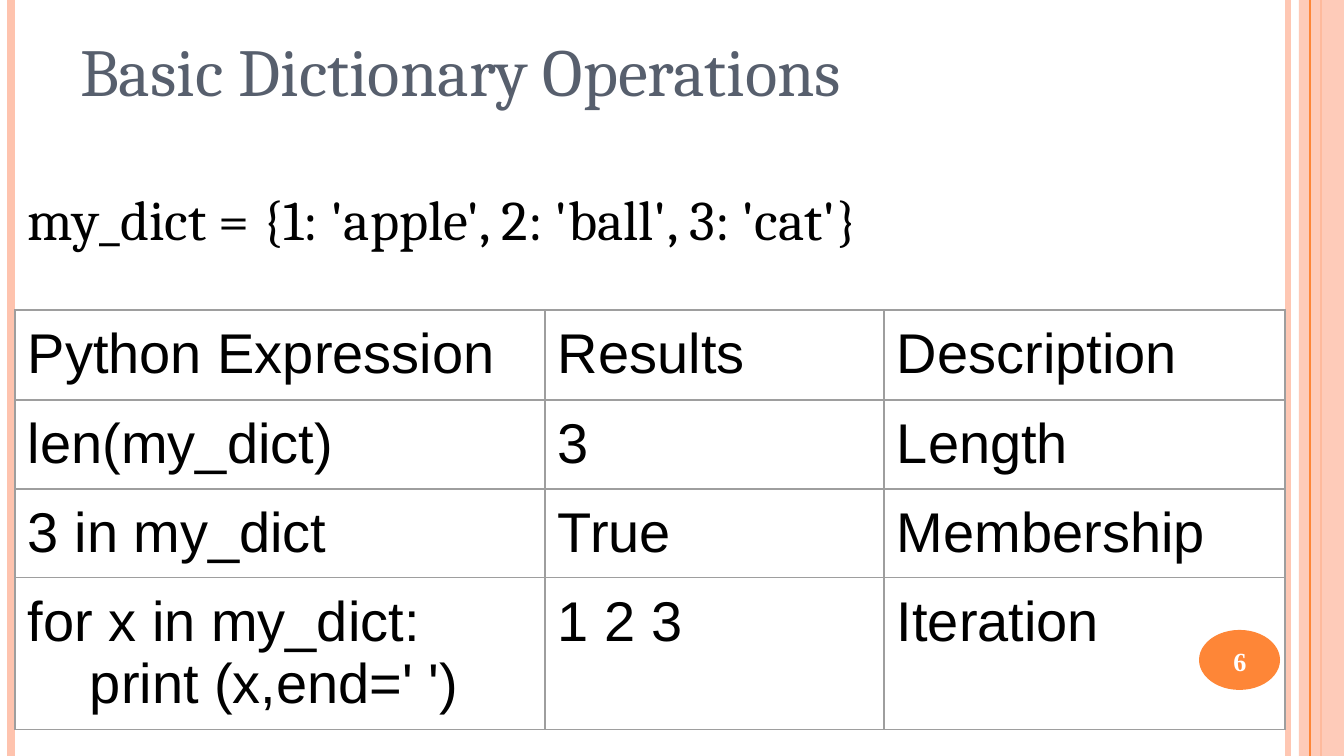
from dataclasses import dataclass

from lxml import etree
from pptx import Presentation
from pptx.dml.color import RGBColor
from pptx.enum.shapes import MSO_CONNECTOR, MSO_SHAPE
from pptx.enum.text import MSO_ANCHOR, MSO_AUTO_SIZE, PP_ALIGN
from pptx.oxml.ns import qn
from pptx.shapes.autoshape import Shape
from pptx.shapes.base import BaseShape
from pptx.slide import Slide
from pptx.table import _Cell
from pptx.text.text import TextFrame
from pptx.util import Emu, Pt

STRAIGHT = MSO_CONNECTOR.STRAIGHT
RECTANGLE, OVAL = MSO_SHAPE.RECTANGLE, MSO_SHAPE.OVAL
TOP, MIDDLE, BOTTOM = MSO_ANCHOR.TOP, MSO_ANCHOR.MIDDLE, MSO_ANCHOR.BOTTOM
LEFT, CENTER = PP_ALIGN.LEFT, PP_ALIGN.CENTER
NO_AUTOFIT = MSO_AUTO_SIZE.NONE

PEACH = RGBColor(0xFE, 0xC3, 0xAE)
ORANGE = RGBColor(0xFE, 0x86, 0x37)
SLATE = RGBColor(0x57, 0x5F, 0x6D)
GRAY = RGBColor(0x9E, 0x9E, 0x9E)
BLACK = RGBColor(0, 0, 0)
WHITE = RGBColor(0xFF, 0xFF, 0xFF)

EMU_PER_PIXEL = 914400 / 134.4
SLIDE_WIDTH, SLIDE_HEIGHT = 1344, 756
PADDING = 13
CODE_INDENT = 62


@dataclass(frozen=True)
class Box:
    left: int
    top: int
    width: int
    height: int


@dataclass(frozen=True)
class Stripe:
    x: int
    color: RGBColor
    points: float
    opacity: int = 100


@dataclass(frozen=True)
class TextStyle:
    font: str
    points: int
    color: RGBColor
    bold: bool = False
    align: PP_ALIGN = LEFT
    anchor: MSO_ANCHOR = TOP
    pad_y: int = PADDING


TITLE_STYLE = TextStyle("Cambria", 36, SLATE, anchor=BOTTOM, pad_y=7)
CODE_STYLE = TextStyle("Cambria", 30, BLACK)
CELL_STYLE = TextStyle("Arial", 30, BLACK)
NUMBER_STYLE = TextStyle("Times New Roman", 14, WHITE, True, CENTER, MIDDLE, 7)

BACK_STRIPES = [Stripe(1288, PEACH, 3, 92), Stripe(11, PEACH, 4.5), Stripe(1321, ORANGE, 1.5)]
FRONT_STRIPE = Stripe(1310, ORANGE, 0.75)

COLUMN_WIDTHS = [530, 339, 401]
ROW_HEIGHTS = [90, 89, 89, 152]
OPERATIONS = [
    ("Python Expression", "Results", "Description"),
    ("len(my_dict)", "3", "Length"),
    ("3 in my_dict", "True", "Membership"),
    ("for x in my_dict:\nprint (x,end=' ')", "1 2 3", "Iteration"),
]


def px(pixels: float) -> Emu:
    return Emu(round(pixels * EMU_PER_PIXEL))


def frame(box: Box) -> tuple[Emu, Emu, Emu, Emu]:
    return px(box.left), px(box.top), px(box.width), px(box.height)


def set_opacity(shape: BaseShape, percent: int) -> None:
    if percent < 100:
        for color in shape.element.spPr.iter(qn("a:srgbClr")):
            etree.SubElement(color, qn("a:alpha")).set("val", str(percent * 1000))


def add_stripe(slide: Slide, stripe: Stripe) -> None:
    line = slide.shapes.add_connector(STRAIGHT, px(stripe.x), 0, px(stripe.x), px(SLIDE_HEIGHT))
    line.line.color.rgb = stripe.color
    line.line.width = Pt(stripe.points)
    set_opacity(line, stripe.opacity)
    etree.SubElement(line.element.spPr, qn("a:effectLst"))


def add_filled(slide: Slide, kind: MSO_SHAPE, box: Box, color: RGBColor, opacity: int = 100) -> None:
    shape = slide.shapes.add_shape(kind, *frame(box))
    shape.shadow.inherit = False
    shape.fill.solid()
    shape.fill.fore_color.rgb = color
    shape.line.fill.background()
    set_opacity(shape, opacity)


def write(text_frame: TextFrame, text: str, style: TextStyle) -> None:
    text_frame.text = text
    for paragraph in text_frame.paragraphs:
        paragraph.alignment = style.align
        paragraph.font.name = style.font
        paragraph.font.size = Pt(style.points)
        paragraph.font.bold = style.bold
        paragraph.font.color.rgb = style.color


def fill_text_shape(shape: Shape, text: str, style: TextStyle) -> None:
    area = shape.text_frame
    area.word_wrap = True
    area.auto_size = NO_AUTOFIT
    area.vertical_anchor = style.anchor
    area.margin_left = area.margin_right = px(PADDING)
    area.margin_top = area.margin_bottom = px(style.pad_y)
    write(area, text, style)


def add_text(slide: Slide, box: Box, text: str, style: TextStyle) -> None:
    fill_text_shape(slide.shapes.add_textbox(*frame(box)), text, style)


def style_cell(cell: _Cell, text: str) -> None:
    cell.margin_left = cell.margin_right = px(PADDING)
    cell.margin_top = cell.margin_bottom = px(PADDING)
    cell.vertical_anchor = TOP
    write(cell.text_frame, text, CELL_STYLE)
    for code_line in cell.text_frame.paragraphs[1:]:
        code_line._p.get_or_add_pPr().set("marL", str(px(CODE_INDENT)))
    properties = cell._tc.get_or_add_tcPr()
    for side in ("lnL", "lnR", "lnT", "lnB"):
        border = etree.SubElement(properties, qn(f"a:{side}"), w=str(Pt(0.75)))
        solid = etree.SubElement(border, qn("a:solidFill"))
        etree.SubElement(solid, qn("a:srgbClr"), val=str(GRAY))
    cell.fill.background()


def add_operations(slide: Slide, left: int, top: int) -> None:
    box = Box(left, top, sum(COLUMN_WIDTHS), sum(ROW_HEIGHTS))
    table = slide.shapes.add_table(len(ROW_HEIGHTS), len(COLUMN_WIDTHS), *frame(box)).table
    table.first_row = table.horz_banding = False
    for column, width in zip(table.columns, COLUMN_WIDTHS):
        column.width = px(width)
    for row, height, texts in zip(table.rows, ROW_HEIGHTS, OPERATIONS):
        row.height = px(height)
        for cell, text in zip(row.cells, texts):
            style_cell(cell, text)


def build() -> None:
    presentation = Presentation()
    presentation.slide_width, presentation.slide_height = px(SLIDE_WIDTH), px(SLIDE_HEIGHT)
    slide = presentation.slides.add_slide(presentation.slide_layouts.get_by_name("Title Only"))

    for stripe in BACK_STRIPES:
        add_stripe(slide, stripe)
    add_filled(slide, RECTANGLE, Box(1299, 0, 45, SLIDE_HEIGHT), PEACH, 86)
    add_stripe(slide, FRONT_STRIPE)
    add_filled(slide, OVAL, Box(1199, 630, 81, 60), ORANGE)

    title = slide.shapes.title
    title.left, title.top, title.width, title.height = frame(Box(67, 31, 1098, 86))
    fill_text_shape(title, "Basic Dictionary Operations", TITLE_STYLE)

    add_text(slide, Box(1195, 632, 90, 58), "6", NUMBER_STYLE)
    add_operations(slide, 15, 310)
    add_text(slide, Box(15, 171, 1270, 86), "my_dict = {1: 'apple', 2: 'ball', 3: 'cat'}", CODE_STYLE)

    presentation.save("out.pptx")


build()
